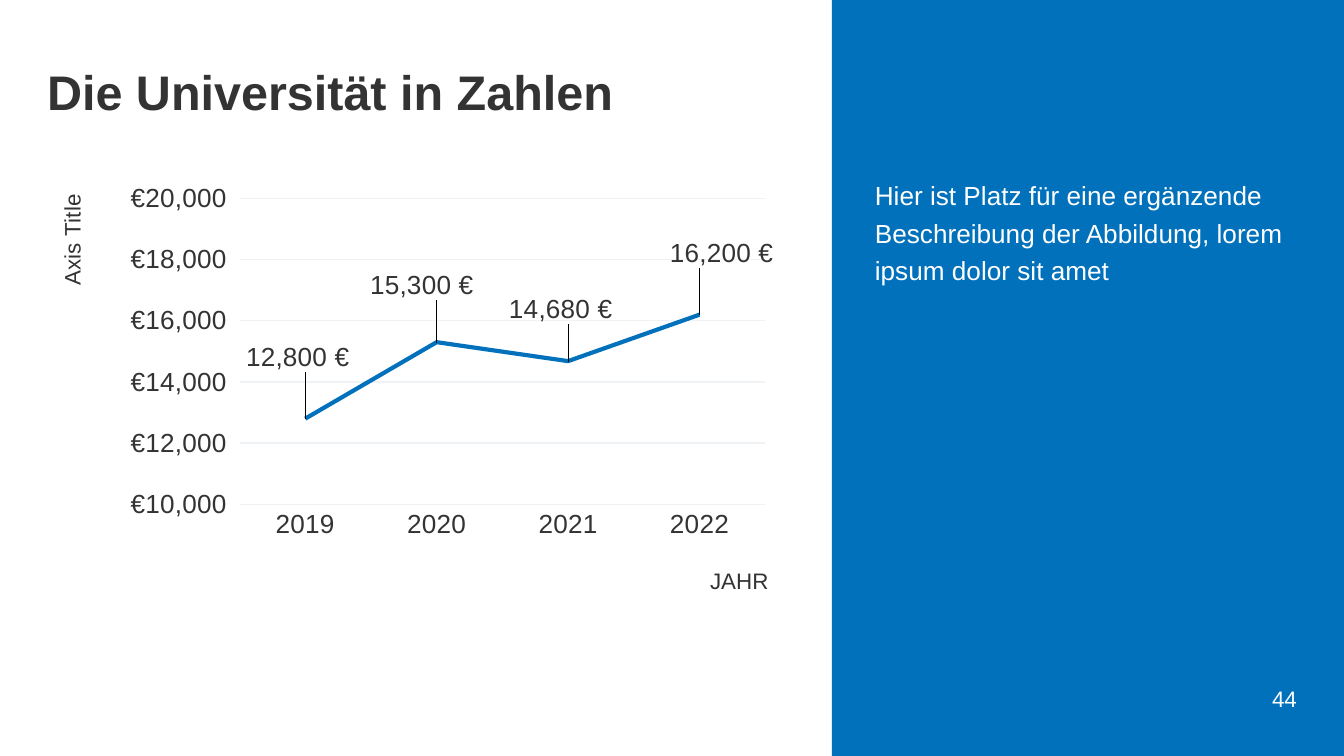
"""Build a slide with a line chart of university figures beside a blue text panel."""
from dataclasses import dataclass
from typing import Any, NamedTuple

from lxml.etree import _Element as Element
from pptx import Presentation
from pptx.chart.data import CategoryChartData
from pptx.dml.color import RGBColor
from pptx.enum.chart import XL_CHART_TYPE as ChartType
from pptx.enum.chart import XL_LABEL_POSITION as LabelPosition
from pptx.enum.chart import XL_MARKER_STYLE as Marker
from pptx.enum.chart import XL_TICK_MARK as Tick
from pptx.enum.shapes import MSO_SHAPE as Preset
from pptx.enum.text import MSO_ANCHOR as Anchor
from pptx.enum.text import PP_ALIGN as Align
from pptx.oxml import parse_xml
from pptx.oxml.ns import nsdecls, qn
from pptx.util import Inches, Pt

SLIDE_WIDTH = Inches(10)
SLIDE_HEIGHT = SLIDE_WIDTH * 9 // 16


@dataclass(frozen=True)
class Theme:
    """Colours, type sizes and font of the slide."""
    blue: RGBColor = RGBColor(0x02, 0x71, 0xBB)
    ink: RGBColor = RGBColor(0x33, 0x33, 0x33)
    grid: RGBColor = RGBColor(0xF0, 0xF3, 0xF6)
    white: RGBColor = RGBColor(0xFF, 0xFF, 0xFF)
    font: str = "Arial"
    heading: int = 26
    body: int = 14
    small: int = 12


THEME = Theme()


class Region(NamedTuple):
    """A rectangle in percent of the slide's width and height."""
    left: float
    top: float
    width: float
    height: float

    def lengths(self) -> tuple[int, ...]:
        """Return left, top, width and height in EMU."""
        sides = (SLIDE_WIDTH, SLIDE_HEIGHT) * 2
        return tuple(round(side * share / 100) for side, share in zip(sides, self))


class Reading(NamedTuple):
    """A year's amount and its label's shift as shares of the chart."""
    year: str
    euros: int
    shift_x: float
    shift_y: float


READINGS = (
    Reading("2019", 12800, -0.01, -0.09),
    Reading("2020", 15300, -0.02, -0.08),
    Reading("2021", 14680, -0.01, -0.07),
    Reading("2022", 16200, 0.03, -0.09),
)
EURO_LABEL = '#,##0 "€"'


def style_font(font: Any, size: int, color: RGBColor = THEME.ink, bold: bool = False) -> None:
    """Apply the theme's font with a size, colour and weight."""
    font.name, font.size, font.bold = THEME.font, Pt(size), bold
    font.color.rgb = color


def add_text(slide: Any, region: Region, text: str, *, size: int, color: RGBColor,
             bold: bool = False, spacing: float = 1.0, align: Align = Align.LEFT,
             anchor: Anchor = Anchor.TOP) -> None:
    """Add a wrapped text box whose aligned side has no inset."""
    frame = slide.shapes.add_textbox(*region.lengths()).text_frame
    frame.word_wrap, frame.vertical_anchor = True, anchor
    if align == Align.RIGHT:
        frame.margin_right = 0
    else:
        frame.margin_left = 0
    paragraph = frame.paragraphs[0]
    paragraph.alignment, paragraph.line_spacing = align, spacing
    run = paragraph.add_run()
    run.text = text
    style_font(run.font, size, color, bold)


def set_layout(parent: Element, index: int, modes: dict[str, str], **shares: float) -> None:
    """Give a chart part a manual layout as its child at the index."""
    for previous in parent.findall(qn("c:layout")):
        parent.remove(previous)
    entries = [*modes.items(), *shares.items()]
    body = "".join(f'<c:{tag} val="{value}"/>' for tag, value in entries)
    parent.insert(index, parse_xml(
        f'<c:layout {nsdecls("c")}><c:manualLayout>{body}</c:manualLayout></c:layout>'))


def style_axis(axis: Any, title: str, x: float, y: float, turn: int) -> None:
    """Style an axis and place its title, turned by whole degrees."""
    axis.major_tick_mark = axis.minor_tick_mark = Tick.NONE
    style_font(axis.tick_labels.font, THEME.body)
    frame = axis.axis_title.text_frame
    frame.text = title
    style_font(frame.paragraphs[0].runs[0].font, THEME.small)
    caption = axis.axis_title.format.element if hasattr(axis.axis_title.format, "element") \
        else axis.axis_title.element if hasattr(axis.axis_title, "element") \
        else axis.axis_title._element
    next(caption.iter(qn("a:bodyPr"))).set("rot", str(turn * 60000))
    set_layout(caption, 1, {"xMode": "edge", "yMode": "edge"}, x=x, y=y)


def style_line(line: Any, color: RGBColor, width: float) -> None:
    """Set a line's colour and width in points."""
    line.color.rgb, line.width = color, Pt(width)


def label_points(series: Any) -> None:
    """Label each point with its amount, shifted from its place above."""
    for index, reading in enumerate(READINGS):
        label = series.points[index].data_label
        style_font(label.font, THEME.body)
        label.position = LabelPosition.ABOVE
        entry = series._element.find(qn("c:dLbls")).findall(qn("c:dLbl"))[index]
        number_format = parse_xml(f'<c:numFmt {nsdecls("c")} sourceLinked="0"/>')
        number_format.set("formatCode", EURO_LABEL)
        entry.insert(1, number_format)
        set_layout(entry, 1, {}, x=reading.shift_x, y=reading.shift_y)
    labels = series.data_labels
    labels.show_value, labels.position = True, LabelPosition.ABOVE
    labels.number_format, labels.number_format_is_linked = EURO_LABEL, False
    style_font(labels.font, THEME.body)


def add_figures_chart(slide: Any, region: Region) -> None:
    """Add the line chart of yearly amounts."""
    figures = CategoryChartData()
    figures.categories = [reading.year for reading in READINGS]
    figures.add_series("Series 1", [reading.euros for reading in READINGS])
    chart = slide.shapes.add_chart(ChartType.LINE, *region.lengths(), figures).chart
    chart.has_legend = chart.has_title = False
    style_font(chart.font, 10)

    years, euros = chart.category_axis, chart.value_axis
    style_axis(years, "JAHR", x=0.89, y=0.92, turn=0)
    style_axis(euros, "Axis Title", x=0.01, y=0.1, turn=-90)
    style_line(years.format.line, THEME.grid, 0.75)
    euros.minimum_scale, euros.maximum_scale, euros.major_unit = 10000, 21000, 2000
    euros.tick_labels.number_format = '"€"#,##0_)'
    euros.tick_labels.number_format_is_linked = False
    euros.format.line.fill.background()
    style_line(euros.major_gridlines.format.line, THEME.grid, 0.75)

    plot = chart.plots[0]
    plot.vary_by_categories = False
    series = plot.series[0]
    series.smooth, series.marker.style = False, Marker.NONE
    style_line(series.format.line, THEME.blue, 2.25)
    label_points(series)
    plot_area = next(chart._chartSpace.iter(qn("c:plotArea")))
    set_layout(plot_area, 0, {"layoutTarget": "inner", "xMode": "edge", "yMode": "edge"},
               x=0.26, y=0.05, w=0.71, h=0.74)


def add_panel(slide: Any, region: Region) -> None:
    """Add the plain blue panel."""
    panel = slide.shapes.add_shape(Preset.RECTANGLE, *region.lengths())
    panel.shadow.inherit = False
    panel.fill.solid()
    panel.fill.fore_color.rgb = THEME.blue
    panel.line.fill.background()


def main() -> None:
    """Build and save the slide."""
    deck = Presentation()
    deck.slide_width, deck.slide_height = SLIDE_WIDTH, SLIDE_HEIGHT
    slide = deck.slides.add_slide(deck.slide_layouts[6])
    add_panel(slide, Region(61.9, 0, 38.1, 100))
    add_text(slide, Region(3.5, 6.58, 92.9, 11.2), "Die Universität in Zahlen",
             size=THEME.heading, color=THEME.ink, bold=True, spacing=1.1)
    add_text(slide, Region(65.1, 22.04, 31.4, 37.33),
             "Hier ist Platz für eine ergänzende Beschreibung der Abbildung, "
             "lorem ipsum dolor sit amet",
             size=THEME.body, color=THEME.white, spacing=1.2)
    add_text(slide, Region(88.8, 89.78, 7.7, 5.33), "44", size=THEME.small,
             color=THEME.white, align=Align.RIGHT, anchor=Anchor.MIDDLE)
    add_figures_chart(slide, Region(3.5, 19.2, 55.1, 60.27))
    deck.save("out.pptx")


if __name__ == "__main__":
    main()
